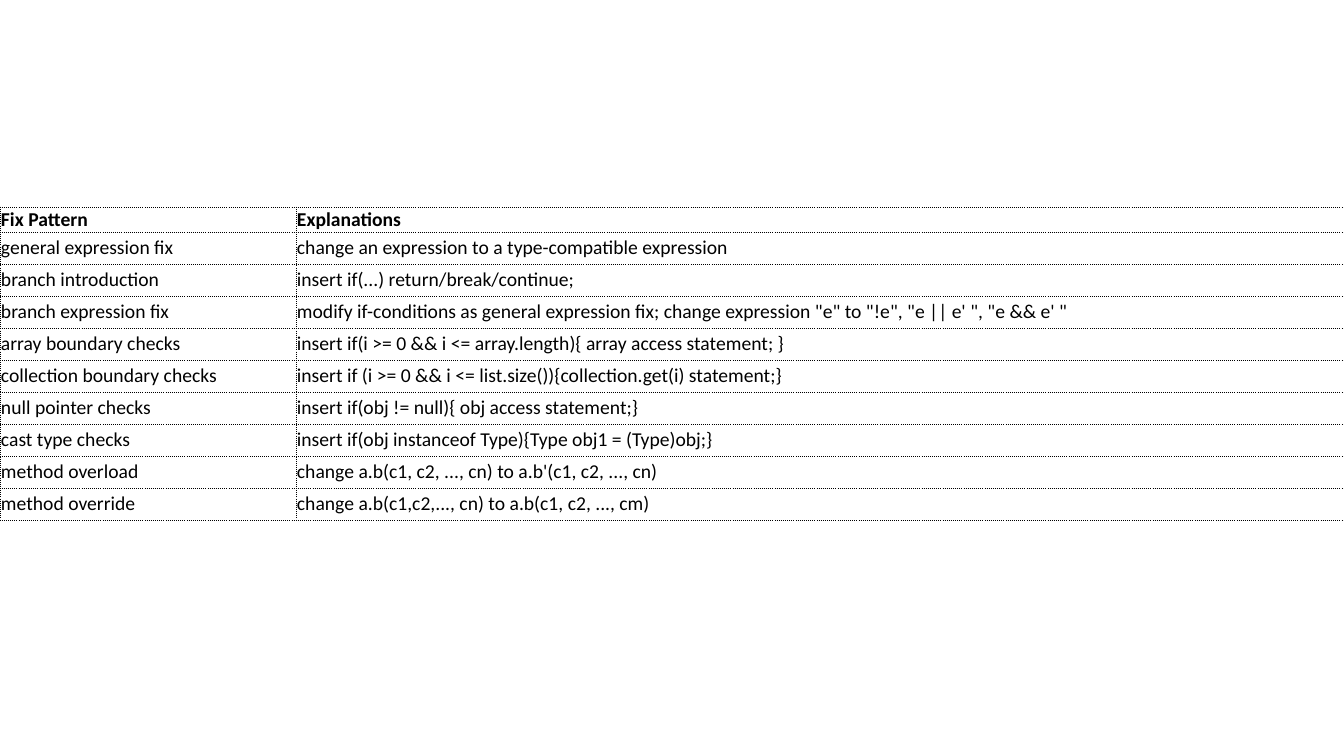
"""Build a slide with a table of fix patterns and their explanations."""
from lxml import etree
from pptx import Presentation
from pptx.dml.color import RGBColor
from pptx.enum.text import MSO_ANCHOR
from pptx.oxml.ns import qn
from pptx.util import Pt

BOTTOM = MSO_ANCHOR.BOTTOM
SCALE = 914400 / 100.8
COLORS = {"text": "000000", "border": "000000"}
BORDER_SIDES = ("a:lnL", "a:lnR", "a:lnT", "a:lnB")
BLANK_LAYOUT = 6

PATTERNS = [
    ("Fix Pattern", "Explanations"),
    ("general expression fix", "change an expression to a type-compatible expression"),
    ("branch introduction", "insert if(...) return/break/continue;"),
    ("branch expression fix",
     "modify if-conditions as general expression fix; "
     "change expression \"e\" to \"!e\", \"e || e' \", \"e && e' \""),
    ("array boundary checks",
     "insert if(i >= 0 && i <= array.length){ array access statement; }"),
    ("collection boundary checks",
     "insert if (i >= 0 && i <= list.size()){collection.get(i) statement;}"),
    ("null pointer checks", "insert if(obj != null){ obj access statement;}"),
    ("cast type checks", "insert if(obj instanceof Type){Type obj1 = (Type)obj;}"),
    ("method overload", "change a.b(c1, c2, ..., cn) to a.b'(c1, c2, ..., cn)"),
    ("method override", "change a.b(c1,c2,..., cn) to a.b(c1, c2, ..., cm)"),
]
COLUMN_WIDTHS = (296, 1048)
HEADER_HEIGHT, PATTERN_HEIGHT = 25, 32
HEADER_MARGINS = {"margin_left": 1, "margin_top": 1, "margin_right": 1, "margin_bottom": 0}
PATTERN_MARGINS = {"margin_left": 1, "margin_top": 4, "margin_right": 1, "margin_bottom": 4}


def px(length):
    return round(length * SCALE)


def add_dotted_borders(cell):
    properties = cell._tc.get_or_add_tcPr()
    for side in BORDER_SIDES:
        line = etree.SubElement(properties, qn(side), w=str(Pt(0.5)))
        fill = etree.SubElement(line, qn("a:solidFill"))
        etree.SubElement(fill, qn("a:srgbClr"), val=COLORS["border"])
        etree.SubElement(line, qn("a:prstDash"), val="sysDot")


deck = Presentation()
deck.slide_width, deck.slide_height = px(1344), px(756)
slide = deck.slides.add_slide(deck.slide_layouts[BLANK_LAYOUT])

table_height = HEADER_HEIGHT + PATTERN_HEIGHT * (len(PATTERNS) - 1)
table = slide.shapes.add_table(
    len(PATTERNS), len(COLUMN_WIDTHS), 0, px(207), px(sum(COLUMN_WIDTHS)), px(table_height)
).table
for column, width in zip(table.columns, COLUMN_WIDTHS):
    column.width = px(width)

for row_index, pattern in enumerate(PATTERNS):
    is_header = row_index == 0
    table.rows[row_index].height = px(HEADER_HEIGHT if is_header else PATTERN_HEIGHT)
    margins = HEADER_MARGINS if is_header else PATTERN_MARGINS
    for column_index, wording in enumerate(pattern):
        cell = table.cell(row_index, column_index)
        cell.text = wording
        cell.vertical_anchor = BOTTOM
        for margin, length in margins.items():
            setattr(cell, margin, px(length))
        font = cell.text_frame.paragraphs[0].runs[0].font
        for attribute, value in {"name": "Calibri", "size": Pt(14), "bold": is_header}.items():
            setattr(font, attribute, value)
        font.color.rgb = RGBColor.from_string(COLORS["text"])
        add_dotted_borders(cell)
        cell.fill.background()

deck.save("out.pptx")
